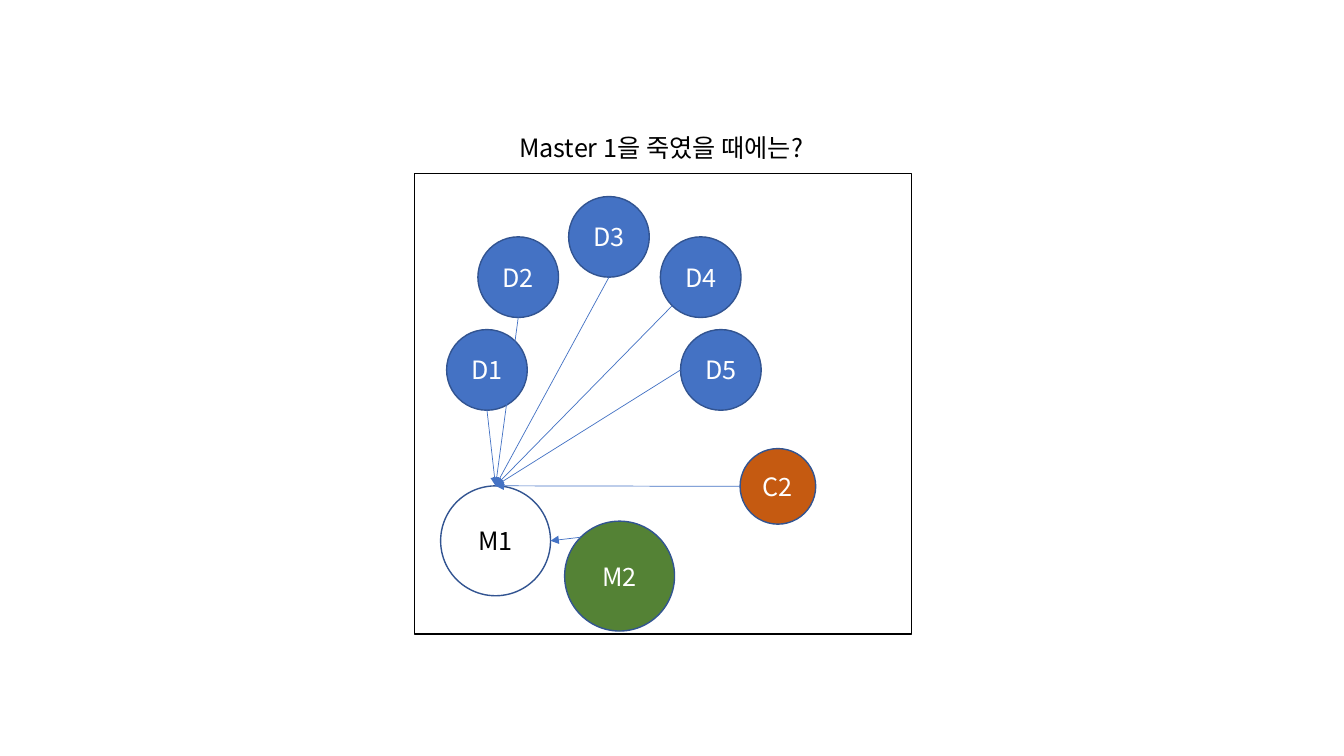
from collections import namedtuple
from math import cos, radians, sin

from lxml.etree import SubElement
from pptx import Presentation
from pptx.dml.color import RGBColor
from pptx.enum.shapes import MSO_CONNECTOR, MSO_SHAPE
from pptx.enum.text import MSO_ANCHOR, MSO_AUTO_SIZE, PP_ALIGN
from pptx.oxml.ns import qn
from pptx.util import Pt

PX = 9144  # 100 px to the inch
FONT = "Noto Sans CJK KR"
COLORS = {
    "data": "4472C4",
    "master": "548235",
    "client": "C55A11",
    "outline": "325491",
    "arrow": "4472C4",
    "black": "000000",
    "white": "FFFFFF",
}
BOTTOM, BOTTOM_LEFT, LEFT, TOP_LEFT, TOP, RIGHT = 90, 135, 180, 225, 270, 0

Node = namedtuple("Node", "left top size fill")
NODES = {
    "D2": Node(474, 235, 80, "data"),
    "D3": Node(564, 195, 80, "data"),
    "D4": Node(655, 235, 80, "data"),
    "D5": Node(675, 327, 80, "data"),
    "D1": Node(443, 327, 80, "data"),
    "M1": Node(437, 482, 109, None),
    "M2": Node(560, 517, 109, "master"),
    "C2": Node(734, 445, 75, "client"),
}
LINKS = [
    ("D1", BOTTOM, "M1", TOP),
    ("D2", BOTTOM, "M1", TOP),
    ("D3", BOTTOM, "M1", TOP),
    ("D4", BOTTOM_LEFT, "M1", TOP),
    ("D5", LEFT, "M1", TOP),
    ("C2", LEFT, "M1", TOP),
    ("M2", TOP_LEFT, "M1", RIGHT),
]


def emu(*lengths):
    return [round(length * PX) for length in lengths]


def rgb(name):
    return RGBColor.from_string(COLORS[name])


def add_words(paragraph, words, color):
    run = paragraph.add_run()
    run.text = words
    run.font.size = Pt(18)
    run.font.color.rgb = rgb(color)
    run.font.name = FONT
    SubElement(run.font._element, qn("a:ea"), typeface=FONT)


def add_outlined(slide, preset, box, fill, line):
    shape = slide.shapes.add_shape(preset, *emu(*box))
    shape.shadow.inherit = False
    if fill:
        shape.fill.solid()
        shape.fill.fore_color.rgb = rgb(fill)
    else:
        shape.fill.background()
    shape.line.color.rgb = rgb(line)
    shape.line.width = Pt(1)
    return shape


def add_node(slide, label, node):
    box = (node.left, node.top, node.size, node.size)
    circle = add_outlined(slide, MSO_SHAPE.OVAL, box, node.fill, "outline")
    frame = circle.text_frame
    frame.vertical_anchor = MSO_ANCHOR.MIDDLE
    frame.paragraphs[0].alignment = PP_ALIGN.CENTER
    add_words(frame.paragraphs[0], label, "white" if node.fill else "black")


def add_heading(slide, words, box):
    heading = slide.shapes.add_textbox(*emu(*box))
    frame = heading.text_frame
    frame.word_wrap = False
    frame.auto_size = MSO_AUTO_SIZE.SHAPE_TO_FIT_TEXT
    add_words(frame.paragraphs[0], words, "black")


def rim_point(node, angle):
    """Point on a node's circle, with degrees running clockwise from the right."""
    radius = node.size / 2
    return (node.left + radius + radius * cos(radians(angle)),
            node.top + radius + radius * sin(radians(angle)))


def add_arrow(slide, start, end):
    arrow = slide.shapes.add_connector(MSO_CONNECTOR.STRAIGHT, *emu(*start, *end))
    arrow.line.color.rgb = rgb("arrow")
    arrow.line.width = Pt(0.5)
    SubElement(arrow.line._get_or_add_ln(), qn("a:tailEnd"), type="triangle")
    SubElement(arrow._element.spPr, qn("a:effectLst"))


def main():
    deck = Presentation()
    deck.slide_width, deck.slide_height = emu(1333, 750)
    slide = deck.slides.add_slide(deck.slide_layouts[6])

    add_outlined(slide, MSO_SHAPE.RECTANGLE, (411, 172, 493, 457), None, "black")
    add_heading(slide, "Master 1을 죽였을 때에는?", (505, 126, 327, 40))
    for label, node in NODES.items():
        add_node(slide, label, node)
    for source, leaving, target, arriving in LINKS:
        add_arrow(slide, rim_point(NODES[source], leaving),
                  rim_point(NODES[target], arriving))

    deck.save("out.pptx")


if __name__ == "__main__":
    main()
